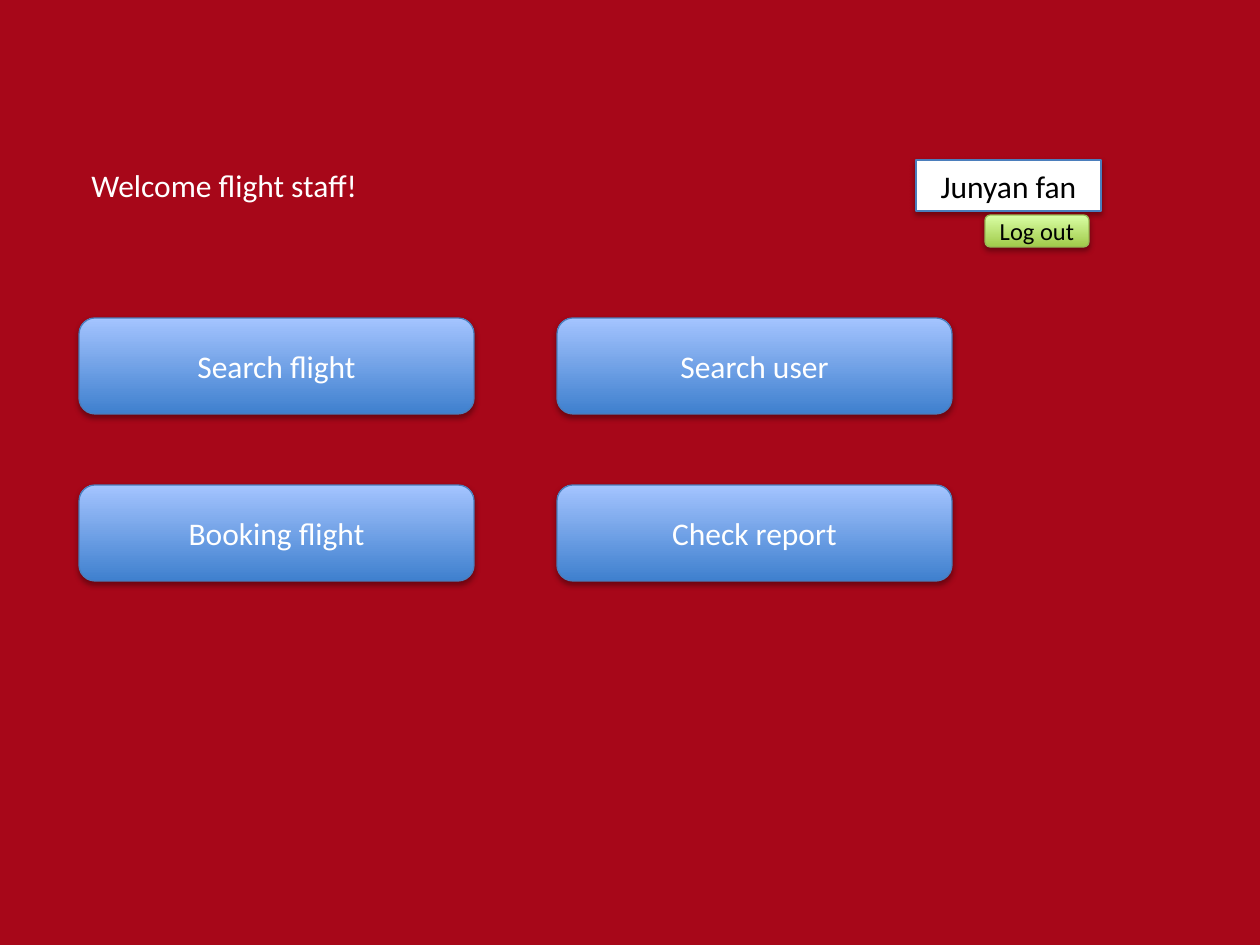
from pptx import Presentation
from pptx.dml.color import RGBColor
from pptx.enum.shapes import MSO_SHAPE
from pptx.enum.text import MSO_ANCHOR, PP_ALIGN
from pptx.oxml import parse_xml
from pptx.oxml.ns import nsdecls, qn
from pptx.util import Emu, Pt

RECT, ROUND = MSO_SHAPE.RECTANGLE, MSO_SHAPE.ROUNDED_RECTANGLE
LEFT, CENTER = PP_ALIGN.LEFT, PP_ALIGN.CENTER
TOP, MIDDLE = MSO_ANCHOR.TOP, MSO_ANCHOR.MIDDLE

THEME = {
    "font": "Calibri", "body": 18, "small": 14,
    "background": "A70719", "white": "FFFFFF", "black": "000000",
    "blue": ("3F80CE", "A4C4FF"), "blue_line": "4B7EBC",
    "green": ("A0CA4A", "DAFFA5"), "green_line": "98B955",
}
PX = 914400 / 126
SHADOW = (
    f'<a:outerShdw {nsdecls("a")} blurRad="40000" dist="23000" dir="5400000" '
    'rotWithShape="0"><a:srgbClr val="000000"><a:alpha val="35000"/>'
    '</a:srgbClr></a:outerShdw>'
)


def add_text(sp, text, size=THEME["body"], color=THEME["white"],
             align=CENTER, anchor=MIDDLE):
    tf = sp.text_frame
    tf.word_wrap = True
    tf.vertical_anchor = anchor
    p = tf.paragraphs[0]
    p.alignment = align
    r = p.add_run()
    r.text = text
    r.font.name = THEME["font"]
    r.font.size = Pt(size)
    r.font.color.rgb = RGBColor.from_string(color)


def add_box(kind, box, fill, line):
    sp = s.shapes.add_shape(kind, *[Emu(round(v * PX)) for v in box])
    if isinstance(fill, tuple):
        sp.fill.gradient()
        sp.fill.gradient_angle = 90
        for stop, color in zip(sp.fill.gradient_stops, fill):
            stop.color.rgb = RGBColor.from_string(color)
    else:
        sp.fill.solid()
        sp.fill.fore_color.rgb = RGBColor.from_string(fill)
    sp.line.color.rgb = RGBColor.from_string(line)
    sp.line.width = Pt(0.75)
    sp.shadow.inherit = False
    sp._element.spPr.find(qn("a:effectLst")).append(parse_xml(SHADOW))
    return sp


prs = Presentation()
prs.slide_width, prs.slide_height = Emu(round(1260 * PX)), Emu(round(945 * PX))
s = prs.slides.add_slide(prs.slide_layouts[6])
s.background.fill.solid()
s.background.fill.fore_color.rgb = RGBColor.from_string(THEME["background"])

# Greeting
greeting = s.shapes.add_textbox(*[Emu(round(v * PX)) for v in (79, 160, 395, 51)])
add_text(greeting, "Welcome flight staff!", align=LEFT, anchor=TOP)

# Menu buttons in a two by two grid
MENU = [["Search flight", "Search user"], ["Booking flight", "Check report"]]
for row, labels in enumerate(MENU):
    for col, label in enumerate(labels):
        box = (79 + col * 478, 318 + row * 167, 395, 96)
        add_text(add_box(ROUND, box, THEME["blue"], THEME["blue_line"]), label)

# User name and log out button
user = add_box(RECT, (916, 160, 185, 51), THEME["white"], THEME["blue_line"])
add_text(user, "Junyan fan", color=THEME["black"])
logout = add_box(ROUND, (985, 215, 104, 32), THEME["green"], THEME["green_line"])
add_text(logout, "Log out", size=THEME["small"], color=THEME["black"])

prs.save("out.pptx")
